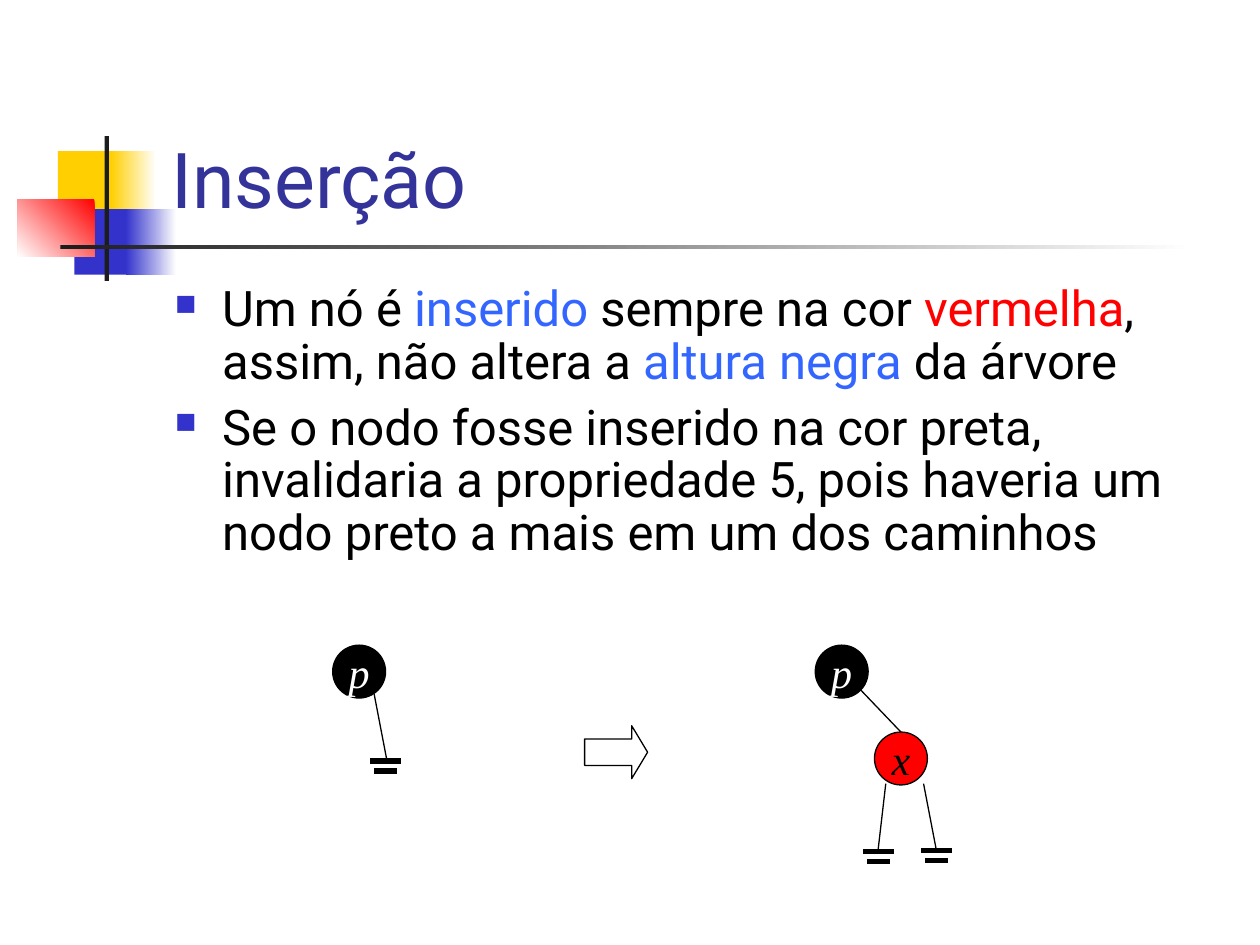
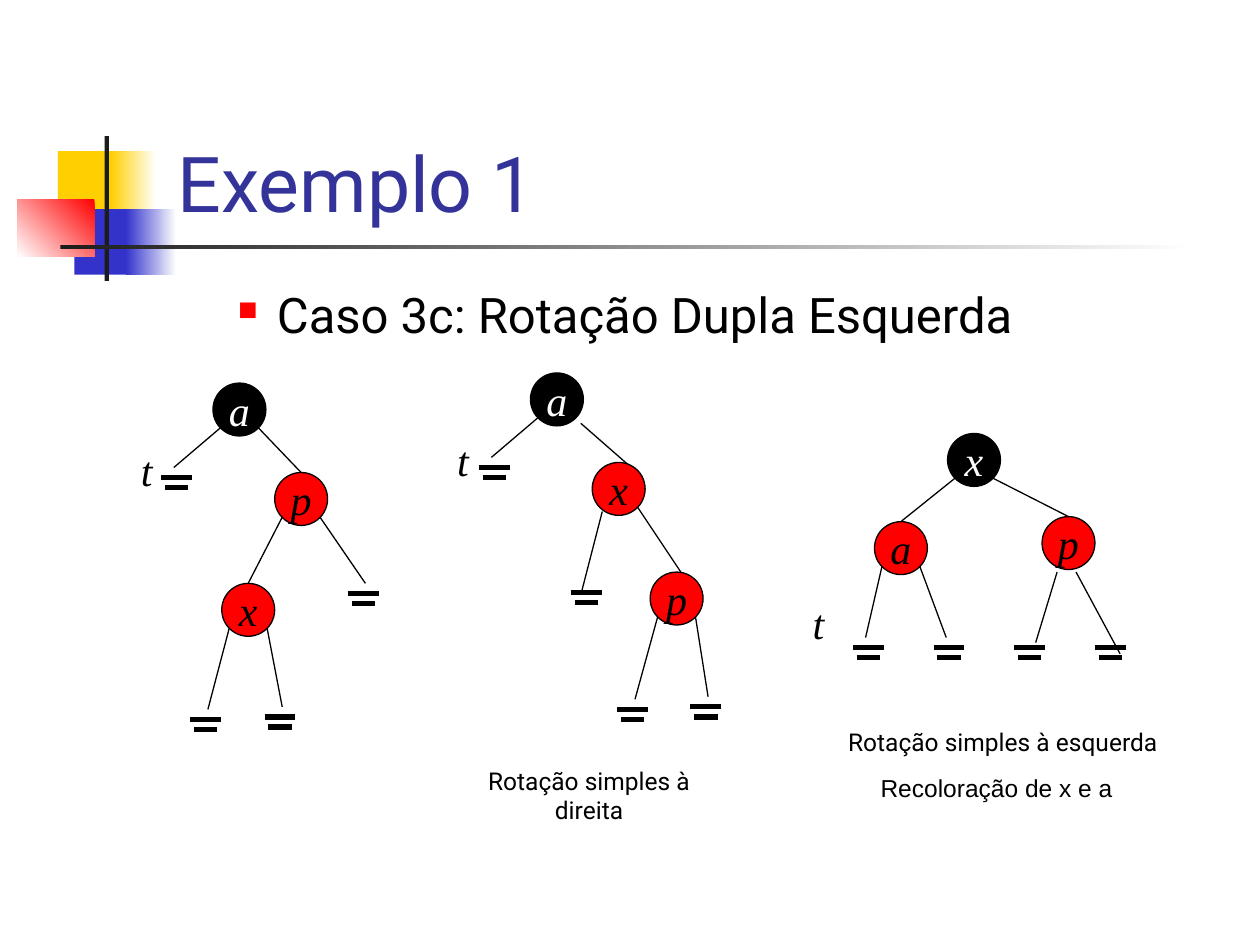
from dataclasses import dataclass
from lxml.etree import SubElement
from pptx import Presentation
from pptx.dml.color import RGBColor
from pptx.enum.shapes import MSO_CONNECTOR, MSO_SHAPE
from pptx.enum.text import MSO_ANCHOR, MSO_AUTO_SIZE, PP_ALIGN
from pptx.oxml.ns import qn
from pptx.util import Inches, Pt

WIDE, HIGH = Inches(10), Inches(7.5)
COLS = 100
BALL = 4.2


@dataclass(frozen=True)
class Theme:
    black: str = "000000"
    white: str = "FFFFFF"
    red: str = "FF0000"
    gold: str = "FFCF01"
    blue: str = "3333CC"
    sky: str = "3366FF"
    navy: str = "333399"
    coal: str = "1C1C1C"
    sans: str = "Roboto"
    plain: str = "Arial"
    serif: str = "Times New Roman"
    head: int = 44
    body: int = 28
    label: int = 24
    note: int = 14
    thin: float = 0.75
    thick: float = 3


THEME = Theme()


@dataclass
class Node:
    col: float
    row: float
    name: str = ""
    hue: str = THEME.red
    left: "Node" = None
    right: "Node" = None
    out: tuple = None
    tip: tuple = None


def grid(*cells):
    return [round(cell * WIDE / COLS) for cell in cells]


def tint(hue):
    return RGBColor.from_string(hue)


def style(para, size, face, hue=None, slant=None):
    for part in (para, *para.runs):
        part.font.size = Pt(size)
        part.font.name = face
        part.font.italic = slant
        if hue:
            part.font.color.rgb = tint(hue)


def shape(slide, kind, box, fill=None, line=None):
    item = slide.shapes.add_shape(kind, *grid(*box))
    item.shadow.inherit = False
    if fill:
        item.fill.solid()
        item.fill.fore_color.rgb = tint(fill)
    else:
        item.fill.background()
    if line:
        item.line.color.rgb = tint(line)
        item.line.width = Pt(THEME.thin)
    else:
        item.line.fill.background()
    return item


def fade(slide, box, hue, angle=0):
    item = shape(slide, MSO_SHAPE.RECTANGLE, box)
    item.fill.gradient()
    item.fill.gradient_angle = angle
    for stop, shade in zip(item.fill.gradient_stops, (hue, THEME.white)):
        stop.color.rgb = tint(shade)


def line(slide, start, end, width=THEME.thin):
    item = slide.shapes.add_connector(MSO_CONNECTOR.STRAIGHT, *grid(*start, *end))
    item.line.color.rgb = tint(THEME.black)
    item.line.width = Pt(width)
    SubElement(item._element.spPr, qn("a:effectLst"))


def band(slide, layout):
    rect = MSO_SHAPE.RECTANGLE
    shape(slide, rect, (4.6, 12, 4.8, 5.2), THEME.gold)
    fade(slide, (8.8, 12, 3.6, 5.2), THEME.gold)
    shape(slide, rect, (5.9, 16.6, 4.6, 5.2), THEME.blue)
    fade(slide, (10, 16.6, 4, 5.2), THEME.blue)
    fade(slide, (1.4, 15.8, 6.1, 4.6), THEME.red, 225)
    shape(slide, rect, (8.3, 10.8, 0.35, 11.5), THEME.coal)
    fade(slide, (4.8, 19.45, 90, 0.35), THEME.coal)
    parts = [item for item in slide.shapes if not item.is_placeholder]
    for spot, item in enumerate(parts, 2):
        layout.shapes._spTree.insert(spot, item._element)


def title(slide, words, row, left=1, foot=0.5):
    item = slide.shapes.title
    item.left, item.top, item.width, item.height = grid(12.6, row, 85.2, 16)
    frame = item.text_frame
    frame.text = words
    frame.auto_size = MSO_AUTO_SIZE.NONE
    frame.vertical_anchor = MSO_ANCHOR.BOTTOM
    frame.margin_left, frame.margin_bottom = grid(left, foot)
    para = frame.paragraphs[0]
    para.alignment = PP_ALIGN.LEFT
    style(para, THEME.head, THEME.sans, THEME.navy)


def text(slide, box, words, size, face, align=PP_ALIGN.CENTER, wrap=False, slant=None):
    frame = slide.shapes.add_textbox(*grid(*box)).text_frame
    frame.word_wrap = wrap
    para = frame.paragraphs[0]
    para.text = words
    para.alignment = align
    style(para, size, face, THEME.black, slant)
    return para


def bullet(para, hue, share, edge, hang):
    props = para._p.get_or_add_pPr()
    left, back = grid(edge, hang)
    props.set("marL", str(left))
    props.set("indent", str(-back))
    SubElement(SubElement(props, qn("a:buClr")), qn("a:srgbClr"), val=hue)
    SubElement(props, qn("a:buSzPct"), val=str(share * 1000))
    SubElement(props, qn("a:buChar"), char="■")


def body(slide, high, items, hue, share, edge, hang, space=None):
    frame = slide.shapes.add_textbox(*grid(12.9, 22.1, 85, high)).text_frame
    frame.word_wrap = True
    for spot, item in enumerate(items):
        para = frame.add_paragraph() if spot else frame.paragraphs[0]
        for words, shade in item:
            run = para.add_run()
            run.text = words
            run.font.color.rgb = tint(shade)
        style(para, THEME.body, THEME.sans)
        para.space_before = Pt(7)
        para.line_spacing = space
        bullet(para, hue, share, edge, hang)


def ball(slide, node):
    box = (node.col, node.row, BALL, BALL)
    item = shape(slide, MSO_SHAPE.OVAL, box, node.hue, THEME.black)
    frame = item.text_frame
    frame.word_wrap = False
    frame.vertical_anchor = MSO_ANCHOR.MIDDLE
    para = frame.paragraphs[0]
    para.text = node.name
    para.alignment = PP_ALIGN.CENTER
    ink = THEME.white if node.hue == THEME.black else THEME.black
    style(para, THEME.label, THEME.serif, ink, True)


def null(slide, node):
    for inset, drop in ((0, 0), (0.3, 0.8)):
        row = node.row + drop
        line(slide, (node.col + inset, row), (node.col + 2.45 - inset, row), THEME.thick)


def tree(slide, node):
    if not node.name:
        null(slide, node)
        return
    ball(slide, node)
    for kid, hook in ((node.left, (0.6, 3.55)), (node.right, (3.6, 3.55))):
        if kid:
            out = kid.out or hook
            tip = kid.tip or ((BALL / 2, 0) if kid.name else (1.4, -0.8))
            start = (node.col + out[0], node.row + out[1])
            line(slide, start, (kid.col + tip[0], kid.row + tip[1]))
            tree(slide, kid)


def insert(slide):
    black, sky = THEME.black, THEME.sky
    title(slide, "Inserção", 2.3)
    first = [("Um nó é ", black), ("inserido", sky), (" sempre na cor ", black),
             ("vermelha", THEME.red), (", assim, não altera a ", black),
             ("altura negra", sky), (" da árvore", black)]
    second = [("Se o nodo fosse inserido na cor preta, invalidaria a propriedade 5, "
               "pois haveria um nodo preto a mais em um dos caminhos", black)]
    body(slide, 27.3, [first, second], THEME.blue, 60, 3.75, 3.75, 0.9)
    tree(slide, Node(26.4, 51.2, "p", black,
                     right=Node(29.4, 60.4, out=(3.3, 3.9), tip=(1.3, -0.1))))
    tree(slide, Node(64.7, 51.2, "p", black, right=Node(
        69.4, 58.1, "x",
        left=Node(68.5, 67.6, out=(0.9, 4.1), tip=(1.2, -0.2)),
        right=Node(73.1, 67.5, out=(3.9, 4.1), tip=(1.2, -0.1)))))
    arrow = shape(slide, MSO_SHAPE.RIGHT_ARROW, (46.4, 57.6, 5, 4.2), line=black)
    arrow.adjustments[0], arrow.adjustments[1] = 0.5, 0.3


def sample(slide):
    black = THEME.black
    title(slide, "Exemplo 1", 2.8, 1.5, 0.7)
    body(slide, 6.6, [[("Caso 3c: Rotação Dupla Esquerda", black)]], THEME.red, 55, 8.1, 3.1)
    tree(slide, Node(
        16.9, 30.4, "a", black,
        left=Node(12.8, 37.9, tip=(1, -0.8)),
        right=Node(21.8, 37.5, "p",
                   left=Node(17.6, 46.3, "x", left=Node(15.1, 57.1), right=Node(21, 56.9)),
                   right=Node(27.6, 47.1))))
    tree(slide, Node(
        42.1, 29.6, "a", black,
        left=Node(38, 37.1, tip=(1, -0.8)),
        right=Node(47, 36.7, "x", out=(4, 4), tip=(3.1, 0.4),
                   left=Node(45.3, 47, out=(0.8, 3.9), tip=(0.8, 0.2)),
                   right=Node(51.6, 45.4, "p", tip=(2.5, 0.1),
                              left=Node(49, 56.3), right=Node(54.8, 56.1)))))
    tree(slide, Node(
        75.2, 34.4, "x", black,
        left=Node(69.4, 41.4, "a",
                  left=Node(67.7, 51.4, tip=(1, -0.8)),
                  right=Node(74.1, 51.4, tip=(1, -0.8))),
        right=Node(82.7, 41, "p",
                   left=Node(80.5, 51.4, out=(1.2, 4.4), tip=(1.7, -0.4)),
                   right=Node(86.9, 51.4, out=(2.7, 4.4), tip=(2, 0.5)))))
    for col, row in ((10.2, 34.8), (35.3, 34), (63.5, 46.9)):
        text(slide, (col, row, 2.9, 5), "t", THEME.label, THEME.serif, slant=True)
    text(slide, (65.8, 57.2, 27.6, 3.4), "Rotação simples à esquerda", THEME.note, THEME.sans)
    text(slide, (35, 60.3, 23.5, 8), "Rotação simples à direita",
         THEME.note, THEME.sans, wrap=True)
    para = text(slide, (68.9, 61.1, 20.4, 3.2), "Recoloração de x e a",
                THEME.note, THEME.plain, PP_ALIGN.LEFT)
    para.line_spacing = 0.93


def main():
    deck = Presentation()
    deck.slide_width, deck.slide_height = WIDE, HIGH
    layout = deck.slide_layouts[5]
    first, second = (deck.slides.add_slide(layout) for _ in range(2))
    band(first, layout)
    insert(first)
    sample(second)
    deck.save("out.pptx")


if __name__ == "__main__":
    main()
